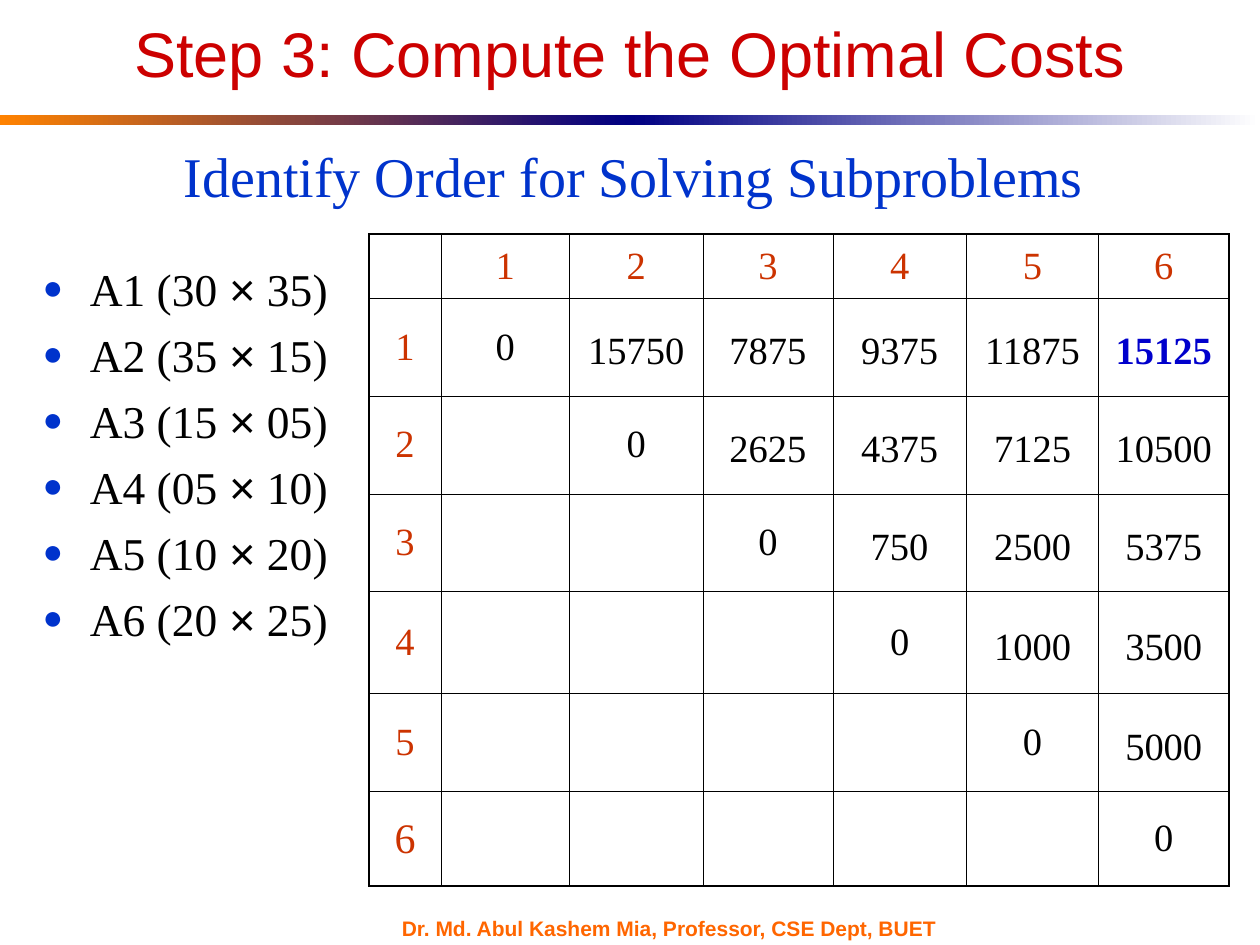
from itertools import accumulate

from lxml import etree
from pptx import Presentation
from pptx.dml.color import RGBColor
from pptx.enum.shapes import MSO_SHAPE
from pptx.enum.text import MSO_ANCHOR, MSO_AUTO_SIZE, PP_ALIGN
from pptx.oxml.ns import qn
from pptx.util import Cm, Pt

RECTANGLE = MSO_SHAPE.RECTANGLE
LEFT, CENTER, RIGHT = PP_ALIGN.LEFT, PP_ALIGN.CENTER, PP_ALIGN.RIGHT
TOP, MIDDLE, BOTTOM = MSO_ANCHOR.TOP, MSO_ANCHOR.MIDDLE, MSO_ANCHOR.BOTTOM
NO_AUTOFIT = MSO_AUTO_SIZE.NONE

SERIF, SANS = "Times New Roman", "Arial"
BLACK, BLUE, RED, RUST = "000000", "0033CC", "CC0000", "CC3300"
NAVY, ORANGE, WHITE = "000082", "FF8200", "FFFFFF"

DIMENSIONS = ["30", "35", "15", "05", "10", "20", "25"]
COSTS = [
    ["15750", "7875", "9375", "11875", "15125"],
    ["2625", "4375", "7125", "10500"],
    ["750", "2500", "5375"],
    ["1000", "3500"],
    ["5000"],
]
COLUMN_WIDTHS = [1.45, 2.59, 2.69, 2.62, 2.69, 2.67, 2.62]
ROW_HEIGHTS = [1.3, 1.96, 1.98, 1.96, 2.06, 1.98, 1.9]
COST_WIDTH, COST_HEIGHT, COST_DROP = 1.98, 0.94, 0.05


def color(value):
    return RGBColor.from_string(value)


def lengths(box):
    return [Cm(value) for value in box]


def add_span(para, text, size, font, ink, bold=False):
    span = para.add_run()
    span.text = text
    span.font.size = Pt(size)
    span.font.name = font
    span.font.bold = bold
    span.font.color.rgb = color(ink)


def place(shape, box):
    shape.left, shape.top, shape.width, shape.height = lengths(box)


def set_frame(frame, anchor, margins=(0.25, 0.13), wrap=True):
    frame.auto_size = NO_AUTOFIT
    frame.word_wrap = wrap
    frame.vertical_anchor = anchor
    frame.margin_left = frame.margin_right = Cm(margins[0])
    frame.margin_top = frame.margin_bottom = Cm(margins[1])


def add_label(page, box, text, size, font, ink, align, anchor=TOP, bold=False,
              margins=(0.25, 0.13), wrap=True):
    frame = page.shapes.add_textbox(*lengths(box)).text_frame
    set_frame(frame, anchor, margins, wrap)
    para = frame.paragraphs[0]
    para.alignment = align
    add_span(para, text, size, font, ink, bold)


def add_title(page, box):
    title = page.shapes.title
    place(title, box)
    set_frame(title.text_frame, BOTTOM)
    para = title.text_frame.paragraphs[0]
    para.alignment = CENTER
    add_span(para, "Step 3: Compute the Optimal Costs", 36, SANS, RED)


def add_divider(page, box):
    left, top, width, height = box
    half = width / 2
    for index, inks in enumerate([(ORANGE, NAVY), (NAVY, WHITE)]):
        bar = page.shapes.add_shape(
            RECTANGLE, *lengths((left + index * half, top, half, height)))
        bar.shadow.inherit = False
        bar.line.fill.background()
        bar.fill.gradient()
        bar.fill.gradient_angle = 0
        for stop, ink in zip(bar.fill.gradient_stops, inks):
            stop.color.rgb = color(ink)


def set_bullet(para):
    properties = para._p.get_or_add_pPr()
    properties.set("marL", str(Cm(0.95)))
    properties.set("indent", str(-Cm(0.95)))
    ink = etree.SubElement(properties, qn("a:buClr"))
    etree.SubElement(ink, qn("a:srgbClr"), val=BLUE)
    etree.SubElement(properties, qn("a:buSzPct"), val="75000")
    etree.SubElement(properties, qn("a:buFont"), typeface=SERIF)
    etree.SubElement(properties, qn("a:buChar"), char="●")


def add_matrix_list(page, box):
    body = page.placeholders[1]
    place(body, box)
    frame = body.text_frame
    set_frame(frame, TOP)
    pairs = zip(DIMENSIONS, DIMENSIONS[1:])
    for number, (rows, columns) in enumerate(pairs, 1):
        para = frame.paragraphs[0] if number == 1 else frame.add_paragraph()
        para.alignment = LEFT
        para.space_before = Pt(6.5)
        set_bullet(para)
        add_span(para, f"A{number} ({rows} ", 26, SERIF, BLACK)
        add_span(para, "×", 26, SANS, BLACK)
        add_span(para, f" {columns})", 26, SERIF, BLACK)


def set_borders(cell, row, column):
    last = len(ROW_HEIGHTS) - 1
    outer_sides = {"L": column == 0, "R": column == last,
                   "T": row == 0, "B": row == last}
    properties = cell._tc.get_or_add_tcPr()
    for side, outer in outer_sides.items():
        width = Pt(1.08 if outer else 0.45)
        line = etree.SubElement(properties, qn(f"a:ln{side}"), w=str(width))
        fill = etree.SubElement(line, qn("a:solidFill"))
        etree.SubElement(fill, qn("a:srgbClr"), val=BLACK)


def fill_cell(cell, row, column):
    set_borders(cell, row, column)
    cell.fill.background()
    cell.vertical_anchor = MIDDLE
    cell.margin_left = cell.margin_right = Cm(0.13)
    cell.margin_top = cell.margin_bottom = Cm(0.13)
    para = cell.text_frame.paragraphs[0]
    para.alignment = CENTER
    if row == column > 0:
        add_span(para, "0", 22, SERIF, BLACK)
    elif row * column == 0 and row != column:
        size = 24 if row == len(ROW_HEIGHTS) - 1 else 22
        add_span(para, str(row + column), size, SERIF, RUST)


def add_cost_table(page, box):
    count = len(ROW_HEIGHTS)
    table = page.shapes.add_table(count, count, *lengths(box)).table
    table.first_row = table.horz_banding = False
    for index in range(count):
        table.columns[index].width = Cm(COLUMN_WIDTHS[index])
        table.rows[index].height = Cm(ROW_HEIGHTS[index])
    for row in range(count):
        for column in range(count):
            fill_cell(table.cell(row, column), row, column)


def add_costs(page, box):
    lefts = list(accumulate(COLUMN_WIDTHS, initial=box[0]))
    tops = list(accumulate(ROW_HEIGHTS, initial=box[1]))
    for row, costs in enumerate(COSTS, 1):
        top = tops[row] + (ROW_HEIGHTS[row] - COST_HEIGHT) / 2 + COST_DROP
        for column, cost in enumerate(costs, row + 1):
            left = lefts[column] + (COLUMN_WIDTHS[column] - COST_WIDTH) / 2
            final = row == 1 and column == len(COLUMN_WIDTHS) - 1
            add_label(page, (left, top, COST_WIDTH, COST_HEIGHT), cost, 22,
                      SERIF, "0000CC" if final else BLACK, CENTER,
                      bold=final, margins=(0, 0))


def main():
    deck = Presentation()
    deck.slide_width, deck.slide_height = Cm(25.4), Cm(19.05)
    page = deck.slides.add_slide(deck.slide_layouts[1])
    table_box = (7.44, 4.72, sum(COLUMN_WIDTHS), sum(ROW_HEIGHTS))
    add_divider(page, (0, 2.31, 25.4, 0.21))
    add_label(page, (7.85, 18.49, 11.86, 0.46),
              "Dr. Md. Abul Kashem Mia, Professor, CSE Dept, BUET",
              12, SANS, "FF6600", LEFT, MIDDLE, bold=True)
    add_title(page, (1.27, 0.64, 22.86, 1.3))
    add_label(page, (3.43, 2.72, 18.67, 1.6),
              "Identify Order for Solving Subproblems",
              32, SERIF, BLUE, RIGHT, wrap=False)
    add_matrix_list(page, (0.61, 5.13, 6.99, 8.43))
    add_cost_table(page, table_box)
    add_costs(page, table_box)
    deck.save("out.pptx")


if __name__ == "__main__":
    main()
